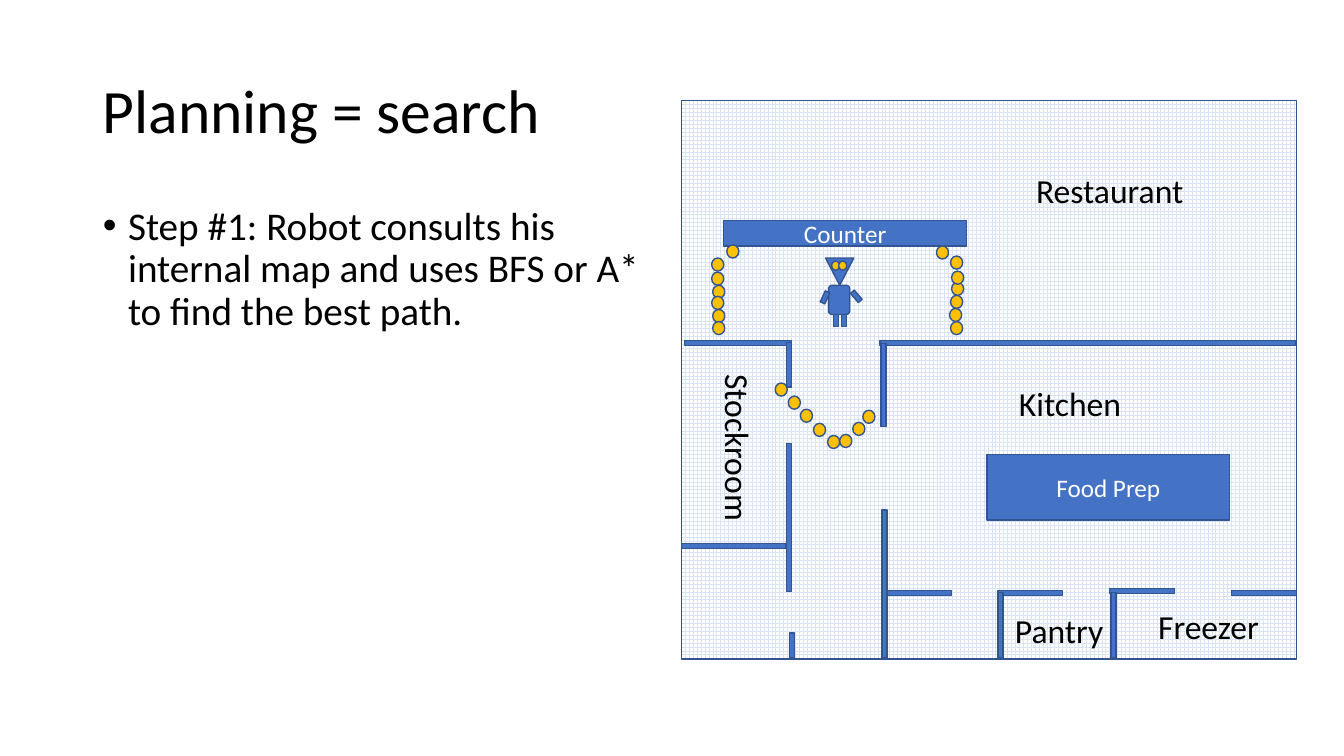
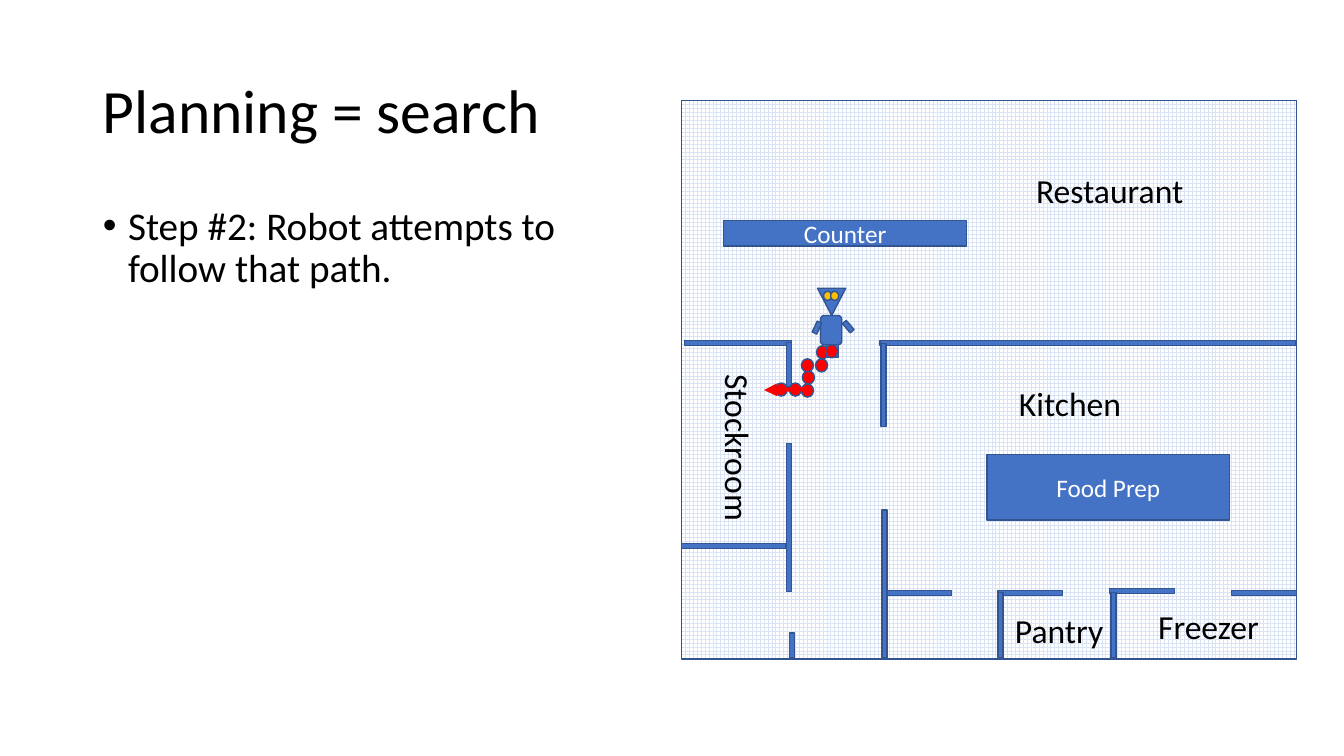
from dataclasses import dataclass

from lxml.etree import SubElement
from pptx import Presentation
from pptx.dml.color import RGBColor
from pptx.enum.dml import MSO_PATTERN
from pptx.enum.shapes import MSO_CONNECTOR, MSO_SHAPE
from pptx.enum.text import MSO_ANCHOR, MSO_AUTO_SIZE, PP_ALIGN
from pptx.oxml.ns import qn
from pptx.util import Inches, Pt


@dataclass(frozen=True)
class Theme:
    font: str = "Calibri"
    ink: str = "000000"
    paper: str = "FFFFFF"
    grid: str = "DAE3F3"
    solid: str = "4472C4"
    outline: str = "325491"
    planned: str = "FFC000"
    followed: str = "FF0000"
    title_size: int = 44
    body_size: int = 28
    room_size: int = 24
    fixture_size: int = 18
    outline_width: int = 1
    heading_width: int = 3


THEME = Theme()
CELLS_PER_INCH = 10
SLIDE_SIZE = (133.33, 75)
TITLE_AREA = (9.2, 4, 50.4, 14.5)
BODY_AREA = (9.2, 20, 56.7, 47.6)
FLOOR = (67.6, 10, 61, 55.4)
WALL_THICKNESS = 0.5
DOT_SIZE = (1.2, 1.3)

FIXTURES = [
    ("Counter", (71.8, 21.9, 24.1, 2.5)),
    ("Food Prep", (97.9, 45.1, 24.1, 6.5)),
]
WALLS_ACROSS = [
    (67.9, 33.8, 10.6), (87.3, 33.8, 41.2), (67.6, 53.9, 10.4),
    (88, 58.6, 6.4), (99, 58.6, 6.4), (110.1, 58.4, 6.4), (122.2, 58.6, 6.4),
]
WALLS_DOWN = [
    (87.4, 34.1, 8.2), (87.5, 50.6, 14.7), (99, 58.8, 6.5), (110.2, 58.8, 6.5),
    (78, 44, 14.7), (78, 34, 4.4), (78.3, 62.8, 2.5),
]
ROOMS = [
    ("Kitchen", (100.1, 37.5, 12.3, 5), 0),
    ("Restaurant", (101.8, 16.4, 16.8, 5), 0),
    ("Freezer", (113.9, 59.6, 12.1, 5), 0),
    ("Pantry", (99.7, 60, 10.9, 5), 0),
    ("Stockroom", (64.9, 42, 16.7, 5), 90),
]
ROBOT_PARTS = [
    (MSO_SHAPE.ISOSCELES_TRIANGLE, (0.3, 0, 2.8, 2.7), 180, THEME.solid),
    (MSO_SHAPE.OVAL, (0.9, 0.3, 0.8, 0.9), 0, THEME.planned),
    (MSO_SHAPE.OVAL, (1.6, 0.3, 0.8, 0.9), 0, THEME.planned),
    (MSO_SHAPE.ROUNDED_RECTANGLE, (0.6, 2.7, 2.1, 2.9), 0, THEME.solid),
    (MSO_SHAPE.RECTANGLE, (1.1, 5.6, 0.5, 1.2), 0, THEME.solid),
    (MSO_SHAPE.RECTANGLE, (1.9, 5.6, 0.5, 1.2), 0, THEME.solid),
    (MSO_SHAPE.RECTANGLE, (3.1, 3.2, 0.5, 1.2), 319.4, THEME.solid),
    (MSO_SHAPE.RECTANGLE, (0, 3.3, 0.5, 1.2), 24.9, THEME.solid),
]
PLANNED_PATH = [
    (70.6, 25.6), (70.6, 27), (70.7, 28.3), (70.6, 29.4), (70.7, 30.7), (70.7, 31.9),
    (79.4, 40.6), (85.6, 40.7),
    (94.3, 31.9), (94.2, 30.6), (94.3, 29.3), (94.4, 28), (94.4, 26.9), (94.3, 25.4),
    (72.1, 24.3), (92.9, 24.4),
    (80.7, 42), (84.6, 41.9), (82.1, 43.2), (83.3, 43.1), (78.2, 39.3), (76.9, 38),
]
FOLLOWED_PATH = [
    (76.9, 38), (78.3, 38), (79.5, 38.1), (79.6, 36.8),
    (79.5, 35.6), (80.9, 35.6), (81, 34.3), (81.9, 34.2),
]
HEADING = (80.5, 38.6, 75.8, 38.7)


def cells(values):
    return [Inches(value / CELLS_PER_INCH) for value in values]


def color(value):
    return RGBColor.from_string(value)


def write(paragraph, text, size, ink=THEME.ink):
    run = paragraph.add_run()
    run.text = text
    run.font.name = THEME.font
    run.font.size = Pt(size)
    run.font.color.rgb = color(ink)


def add_outlined(shapes, preset, area, fill=THEME.solid, rotation=0):
    outlined = shapes.add_shape(preset, *cells(area))
    outlined.rotation = rotation
    outlined.shadow.inherit = False
    outlined.fill.solid()
    outlined.fill.fore_color.rgb = color(fill)
    outlined.line.color.rgb = color(THEME.outline)
    outlined.line.width = Pt(THEME.outline_width)
    return outlined


def fill_placeholder(placeholder, area, text, size, anchor):
    placeholder.left, placeholder.top, placeholder.width, placeholder.height = cells(area)
    frame = placeholder.text_frame
    frame.word_wrap = True
    frame.auto_size = MSO_AUTO_SIZE.NONE
    frame.vertical_anchor = anchor
    paragraph = frame.paragraphs[0]
    paragraph.alignment = PP_ALIGN.LEFT
    paragraph.line_spacing = 0.9
    paragraph.space_before = Pt(0)
    write(paragraph, text, size)
    return paragraph


def add_bullet(paragraph):
    properties = paragraph._p.get_or_add_pPr()
    indent = Inches(0.25)
    properties.set("marL", str(indent))
    properties.set("indent", str(-indent))
    SubElement(properties, qn("a:buFont")).set("typeface", "Arial")
    SubElement(properties, qn("a:buChar")).set("char", "•")


def add_floor(shapes):
    floor = add_outlined(shapes, MSO_SHAPE.RECTANGLE, FLOOR)
    floor.fill.patterned()
    floor.fill.pattern = MSO_PATTERN.LARGE_GRID
    floor.fill.fore_color.rgb = color(THEME.grid)
    floor.fill.back_color.rgb = color(THEME.paper)


def add_robot(shapes, left, top):
    robot = shapes.add_group_shape()
    for preset, (across, down, width, height), rotation, fill in ROBOT_PARTS:
        area = (left + across, top + down, width, height)
        add_outlined(robot.shapes, preset, area, fill, rotation)


def add_fixture(shapes, label, area):
    fixture = add_outlined(shapes, MSO_SHAPE.RECTANGLE, area)
    frame = fixture.text_frame
    frame.vertical_anchor = MSO_ANCHOR.MIDDLE
    paragraph = frame.paragraphs[0]
    paragraph.alignment = PP_ALIGN.CENTER
    write(paragraph, label, THEME.fixture_size, THEME.paper)


def add_room_label(shapes, room, area, rotation):
    label = shapes.add_textbox(*cells(area))
    label.rotation = rotation
    frame = label.text_frame
    frame.word_wrap = False
    frame.auto_size = MSO_AUTO_SIZE.SHAPE_TO_FIT_TEXT
    write(frame.paragraphs[0], room, THEME.room_size)


def add_map(shapes, robot_position):
    add_floor(shapes)
    add_robot(shapes, *robot_position)
    for label, area in FIXTURES:
        add_fixture(shapes, label, area)
    walls = [(left, top, length, WALL_THICKNESS) for left, top, length in WALLS_ACROSS]
    walls += [(left, top, WALL_THICKNESS, length) for left, top, length in WALLS_DOWN]
    for wall in walls:
        add_outlined(shapes, MSO_SHAPE.RECTANGLE, wall)
    for room in ROOMS:
        add_room_label(shapes, *room)


def add_path(shapes, dots, fill):
    for dot in dots:
        add_outlined(shapes, MSO_SHAPE.OVAL, dot + DOT_SIZE, fill)


def add_heading(shapes):
    heading = shapes.add_connector(MSO_CONNECTOR.STRAIGHT, *cells(HEADING))
    heading.line.color.rgb = color(THEME.followed)
    heading.line.width = Pt(THEME.heading_width)
    SubElement(heading.line._get_or_add_ln(), qn("a:tailEnd")).set("type", "triangle")
    SubElement(heading._element.spPr, qn("a:effectLst"))


def add_step(deck, step, robot_position):
    slide = deck.slides.add_slide(deck.slide_layouts[1])
    title, body = slide.placeholders
    fill_placeholder(title, TITLE_AREA, "Planning = search", THEME.title_size, MSO_ANCHOR.MIDDLE)
    add_bullet(fill_placeholder(body, BODY_AREA, step, THEME.body_size, MSO_ANCHOR.TOP))
    add_map(slide.shapes, robot_position)
    return slide.shapes


def main():
    deck = Presentation()
    deck.slide_width, deck.slide_height = cells(SLIDE_SIZE)

    planning = add_step(
        deck,
        "Step #1: Robot consults his internal map and uses BFS or A* to find the best path.",
        (81.6, 25.6),
    )
    add_path(planning, PLANNED_PATH, THEME.planned)

    following = add_step(deck, "Step #2: Robot attempts to follow that path.", (80.8, 28.6))
    add_path(following, FOLLOWED_PATH, THEME.followed)
    add_heading(following)

    deck.save("out.pptx")


if __name__ == "__main__":
    main()
